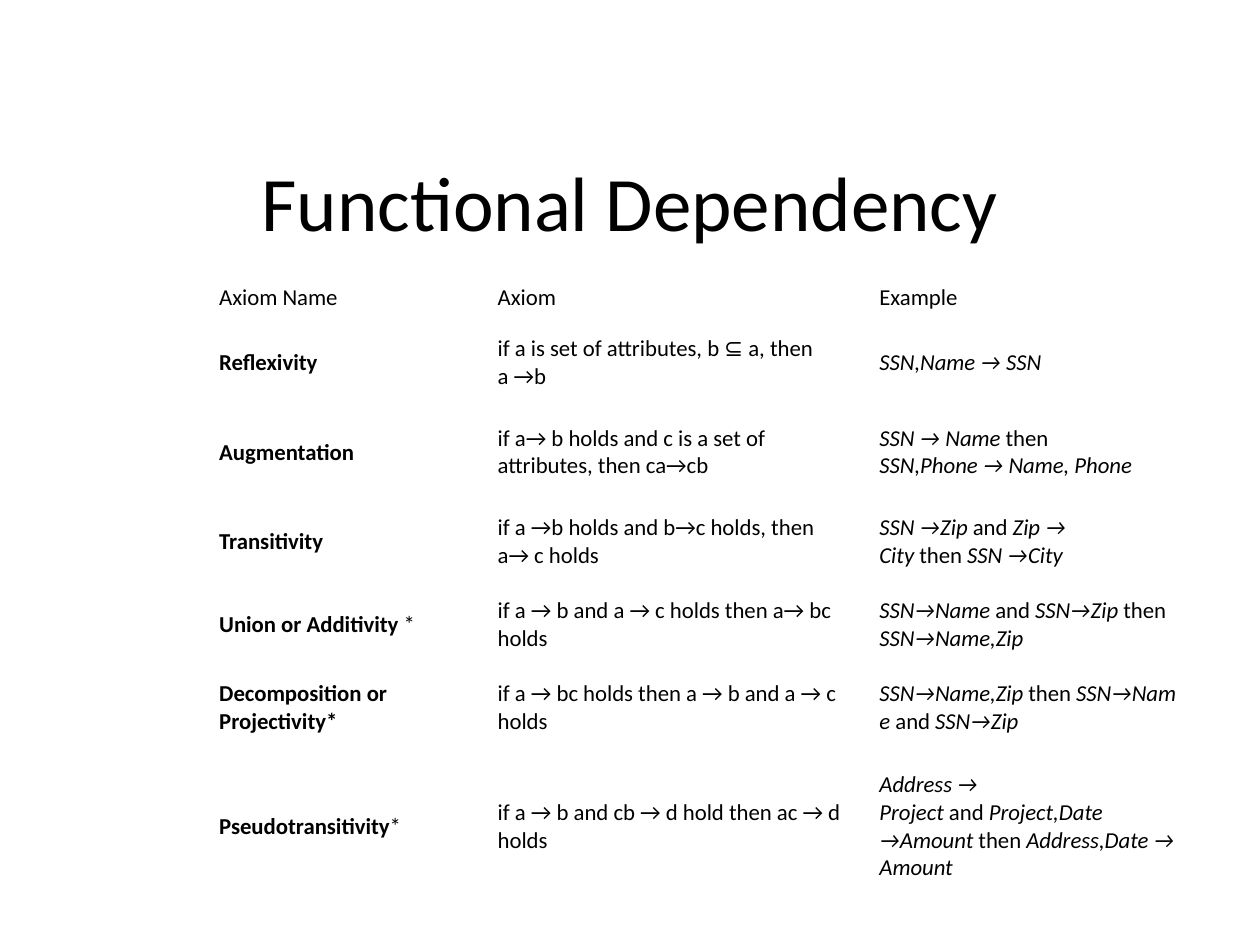
from dataclasses import dataclass
from pptx import Presentation
from pptx.dml.color import RGBColor
from pptx.enum.text import MSO_ANCHOR, PP_ALIGN
from pptx.util import Inches, Pt

MIDDLE = MSO_ANCHOR.MIDDLE
CENTER = PP_ALIGN.CENTER


@dataclass
class Theme:
    font: str = "Calibri"
    ink: RGBColor = RGBColor(0, 0, 0)
    head: int = 44
    body: int = 13


class Page:
    def __init__(self, slide, theme):
        self.slide = slide
        self.theme = theme

    def style(self, run, size, bold=False, italic=False):
        font = run.font
        font.name = self.theme.font
        font.size = Pt(size)
        font.color.rgb = self.theme.ink
        font.bold = bold
        font.italic = italic

    def title(self, text, left, top, width, height):
        box = self.slide.shapes.title
        box.left, box.top = Inches(left), Inches(top)
        box.width, box.height = Inches(width), Inches(height)
        frame = box.text_frame
        frame.text = text
        frame.vertical_anchor = MIDDLE
        line = frame.paragraphs[0]
        line.alignment = CENTER
        self.style(line.runs[0], self.theme.head)

    def cell(self, cell, text, bold, italic):
        cell.fill.background()
        cell.vertical_anchor = MIDDLE
        cell.margin_left = cell.margin_right = Inches(0.07)
        cell.margin_top = cell.margin_bottom = Inches(0.04)
        line = cell.text_frame.paragraphs[0]
        for n, part in enumerate(text.replace("~", "\u00a0").split("|")):
            run = line.add_run()
            run.text = part.rstrip("\n")
            marked = n % 2 == 0
            self.style(run, self.theme.body, bold and marked, italic and marked)
            if part.endswith("\n"):
                line.add_line_break()

    def table(self, rows, left, top, widths, heights):
        frame = self.slide.shapes.add_table(
            len(rows), len(widths), Inches(left), Inches(top),
            Inches(sum(widths)), Inches(sum(heights)))
        table = frame.table
        table.first_row = table.horz_banding = False
        for col, width in zip(table.columns, widths):
            col.width = Inches(width)
        for row, height in zip(table.rows, heights):
            row.height = Inches(height)
        for r, row in enumerate(rows):
            for c, text in enumerate(row):
                self.cell(table.cell(r, c), text, r > 0 and c == 0, r > 0 and c == 2)


# "~" is a fixed space; "|" switches the column's emphasis off and on
AXIOMS = [
    ("Axiom Name", "Axiom", "Example"),
    ("Reflexivity", "if a is set of attributes, b~⊆~a, then a~→b",
     "SSN,Name → SSN"),
    ("Augmentation", "if a→~b holds and c is a set of attributes, then ca→cb",
     "SSN → Name~|then~\n|SSN,Phone → Name, Phone"),
    ("Transitivity", "if a~→b holds and b→c~holds, then a→~c holds",
     "SSN →Zip~|and|~Zip → City~|then|~SSN →City"),
    ("Union or Additivity|~*", "if a~→~b and a~→~c holds then a→~bc holds",
     "SSN→Name~|and|~SSN→Zip~|then|~SSN→Name,Zip"),
    ("Decomposition or Projectivity*",
     "if a~→~bc holds then a~→~b and a~→~c holds",
     "SSN→Name,Zip~|then~|SSN→Name~|and|~SSN→Zip"),
    ("Pseudotransitivity|*", "if a~→~b and cb~→~d hold then ac~→~d holds",
     "Address → Project~|and~|Project,Date →Amount~|then~|Address,Date → Amount"),
]

deck = Presentation()
deck.slide_width, deck.slide_height = Inches(10), Inches(7.5)
slide = deck.slides.add_slide(deck.slide_layouts[0])
spare = slide.placeholders[1].element
spare.getparent().remove(spare)

page = Page(slide, Theme())
page.title("Functional Dependency", 0.75, 1.17, 8.5, 0.84)
page.table(AXIOMS, 1.67, 2.17, (2.21, 3.03, 2.52),
           (0.38, 0.66, 0.76, 0.66, 0.66, 0.66, 1.22))
deck.save("out.pptx")
